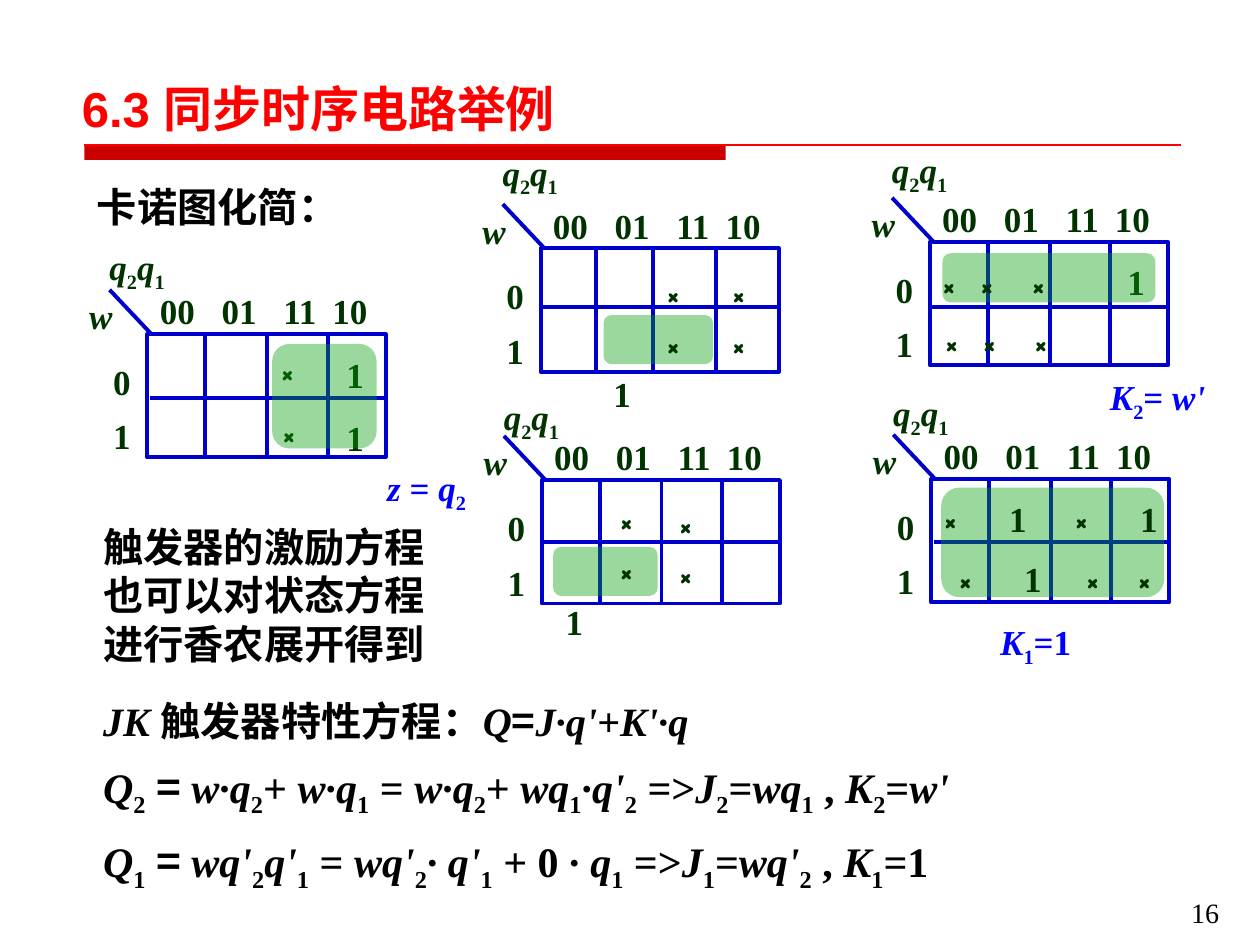
import itertools

import pptx
import pptx.util
from lxml import etree
from pptx.dml.color import RGBColor
from pptx.enum.shapes import MSO_CONNECTOR, MSO_SHAPE
from pptx.enum.text import MSO_ANCHOR, PP_ALIGN
from pptx.oxml.ns import qn
from pptx.util import Inches

COLORS = {"grid": "0000CC", "label": "003300", "result": "0000FF", "cover": "069E0A",
          "bar": "CC0000", "title": "FF0000", "ink": "000000"}
SERIF, CROSS, CJK = "Times New Roman", "Comic Neue", "Noto Sans CJK SC"


def write(left, top, width, height, text, size=20, color="label", font=SERIF, spacing=None,
          tabs=(), wrap=True, anchor=MSO_ANCHOR.TOP, align=None, bold=True):
    """Add a text box; "_" makes the next character a subscript, serif letters are italic."""
    frame = slide.shapes.add_textbox(Inches(left), Inches(top), Inches(width),
                                     Inches(height)).text_frame
    frame.word_wrap = wrap
    frame.vertical_anchor = anchor
    for number, line in enumerate(text.split("\n")):
        paragraph = frame.paragraphs[0] if number == 0 else frame.add_paragraph()
        paragraph.alignment = align
        if spacing:
            paragraph.line_spacing = spacing
        if tabs:
            stops = etree.SubElement(paragraph._p.get_or_add_pPr(), qn("a:tabLst"))
            for stop in tabs:
                etree.SubElement(stops, qn("a:tab"), pos=str(Inches(stop)), algn="l")
        styled = []
        for before, char in zip(" " + line, line):
            if char == "_":
                continue
            if before == "_":
                style = "subscript"
            elif char in "=×":
                style = char
            else:
                style = "italic" if char.isascii() and (char.isalpha() or char == "'") else "plain"
            styled.append((style, char))
        for style, chars in itertools.groupby(styled, key=lambda pair: pair[0]):
            run = paragraph.add_run()
            run.text = "".join(char for _, char in chars)
            run.font.size = pptx.util.Pt(size)
            run.font.bold = bold
            run.font.italic = style == "italic"
            run.font.name = CROSS if style == "×" else font
            run.font.color.rgb = RGBColor.from_string(COLORS[color])
            properties = run._r.get_or_add_rPr()
            etree.SubElement(properties, qn("a:ea"), typeface=CJK)
            if style == "subscript":
                properties.set("baseline", "-25000")
    return frame


def rule(x1, y1, x2, y2, color="grid", width=2.25):
    """Draw a straight line without shadow."""
    line = slide.shapes.add_connector(MSO_CONNECTOR.STRAIGHT, Inches(x1), Inches(y1),
                                      Inches(x2), Inches(y2))
    line.line.color.rgb = RGBColor.from_string(COLORS[color])
    line.line.width = pptx.util.Pt(width)
    etree.SubElement(line._element.spPr, qn("a:effectLst"))


presentation = pptx.Presentation()
presentation.slide_width, presentation.slide_height = Inches(10), Inches(7.5)
slide = presentation.slides.add_slide(presentation.slide_layouts[5])

# Title with its underline
title = slide.shapes.title
title.left, title.top, title.width, title.height = [Inches(v) for v in (0.55, 0.46, 7.38, 0.79)]
title.text_frame.text = "6.3 同步时序电路举例"
title.text_frame.vertical_anchor = MSO_ANCHOR.MIDDLE
heading = title.text_frame.paragraphs[0]
heading.alignment = PP_ALIGN.LEFT
heading.font.size = pptx.util.Pt(28)
heading.font.bold = True
heading.font.name = "Arial"
heading.font.color.rgb = RGBColor.from_string(COLORS["title"])

bar = slide.shapes.add_shape(MSO_SHAPE.RECTANGLE, Inches(0.67), Inches(1.15), Inches(5.09),
                             Inches(0.12))
bar.shadow.inherit = False
bar.fill.solid()
bar.fill.fore_color.rgb = RGBColor.from_string(COLORS["bar"])
bar.line.fill.background()
rule(0.67, 1.15, 9.37, 1.15, "title", 0.75)

# Karnaugh maps: marks are (left, top, text, tab stops), drawn under or over the cover
COLUMNS = (0.46, 0.95, 1.43)
TRIPLE = (0.3, 0.71)
maps = [
    dict(at=(4.29, 1.97), columns=(0.44, 0.89, 1.39), middle=0.47, variables=0.82,
         cover=(4.79, 2.5, 0.87, 0.39),
         under=[(4.77, 2.84, "1", ()), (5.71, 2.04, "×\n×", ())],
         over=[(5.19, 2.04, "×\n×", ())]),
    dict(at=(7.38, 1.92), columns=COLUMNS, middle=0.52, variables=0.79,
         cover=(7.48, 2.01, 1.69, 0.39), under=[(8.85, 1.95, "1", ())],
         over=[(7.38, 1.97, "×\t×\t×", TRIPLE), (7.4, 2.43, "×\t×\t×", TRIPLE)],
         result=(7.1, 2.9, 1.76, "K_2= w'", PP_ALIGN.RIGHT)),
    dict(at=(4.3, 3.81), columns=COLUMNS, middle=0.49, variables=0.72,
         cover=(4.39, 4.34, 0.83, 0.39),
         under=[(4.39, 4.65, "1", ()), (5.29, 3.87, "×\n×", ())],
         over=[(4.82, 3.84, "×\n×", ())]),
    dict(at=(7.39, 3.8), columns=COLUMNS, middle=0.5, variables=0.74,
         cover=(7.47, 3.87, 1.77, 0.87), under=[],
         over=[(7.39, 3.83, "×\t1\t×\t1", (0.52, 1.04, 1.56)),
               (7.51, 4.31, "×\t1\t×\t×", (0.52, 1.01, 1.42))],
         result=(6.84, 4.84, 2.03, "K_1=1", PP_ALIGN.CENTER)),
    dict(at=(1.17, 2.65), columns=COLUMNS, middle=0.51, variables=0.75,
         cover=(2.16, 2.73, 0.83, 0.83),
         under=[(2.65, 2.69, "1", ()), (2.65, 3.19, "1", ()),
                (2.13, 2.66, "×", ()), (2.14, 3.15, "×", ())],
         over=[], result=(0.56, 3.62, 2.03, "z = q_2", PP_ALIGN.RIGHT)),
]
MAP_WIDTH, MAP_HEIGHT = 1.89, 0.98

for kmap in maps:
    x, y = kmap["at"]
    border = slide.shapes.add_shape(MSO_SHAPE.RECTANGLE, Inches(x), Inches(y),
                                    Inches(MAP_WIDTH), Inches(MAP_HEIGHT))
    border.shadow.inherit = False
    border.fill.background()
    border.line.color.rgb = RGBColor.from_string(COLORS["grid"])
    border.line.width = pptx.util.Pt(2.25)
    rule(x + 0.03, y, x - 0.3, y - 0.35)
    rule(x + 0.02, y + kmap["middle"], x + MAP_WIDTH, y + kmap["middle"])
    for column in kmap["columns"]:
        rule(x + column, y, x + column, y + MAP_HEIGHT)

    write(x, y - 0.4, 1.87, 0.44, "00\t01\t11\t10", tabs=(0.49, 0.98, 1.37), wrap=False)
    write(x - 0.37, y + 0.06, 0.32, 0.93, "0\n1", spacing=1.3)
    write(x - 0.4, y - kmap["variables"], 0.67, 0.66, "q_2q_1", wrap=False)
    write(x - 0.56, y - 0.36, 0.39, 0.44, "w", wrap=False)

    for layer in ("under", "over"):
        for left, top, text, tabs in kmap[layer]:
            write(left, top, 1.97 if tabs else 0.44, 0.87 if "\n" in text else 0.46, text,
                  spacing=1.2, tabs=tabs)
        if layer == "under":
            cover = slide.shapes.add_shape(MSO_SHAPE.ROUNDED_RECTANGLE,
                                           *[Inches(v) for v in kmap["cover"]])
            cover.shadow.inherit = False
            cover.fill.solid()
            cover.fill.fore_color.rgb = RGBColor.from_string(COLORS["cover"])
            cover.line.fill.background()
            tint = cover._element.spPr.find(".//" + qn("a:srgbClr"))
            etree.SubElement(tint, qn("a:alpha"), val="40000")

    if "result" in kmap:
        left, top, width, text, align = kmap["result"]
        result = write(left, top, width, 0.47, text, color="result", spacing=1.2, wrap=False,
                       anchor=MSO_ANCHOR.MIDDLE, align=align)
        result.paragraphs[0]._p.get_or_add_pPr().set("indent", str(Inches(0.73)))

# Explanations and equations
write(0.67, 1.39, 2.39, 0.49, "卡诺图化简：", 23, "ink", CJK, anchor=MSO_ANCHOR.MIDDLE)
write(0.72, 4.09, 2.93, 1.26, "触发器的激励方程也可以对状态方程进行香农展开得到", 23, "ink", CJK,
      anchor=MSO_ANCHOR.MIDDLE)
equations = write(0.72, 5.36, 7.26, 1.65,
                  "JK 触发器特性方程：Q=J∙q'+K'∙q\n"
                  "Q_2 = w∙q_2+ w∙q_1 = w∙q_2+ wq_1∙q'_2 =>J_2=wq_1 , K_2=w'\n"
                  "Q_1 = wq'_2q'_1 = wq'_2∙ q'_1 + 0 ∙ q_1 =>J_1=wq'_2 , K_1=1",
                  24, "ink", spacing=1.3)
for run in equations.paragraphs[0].runs:
    run.font.size = pptx.util.Pt(23)
for equation in equations.paragraphs:
    first_equals = next(run for run in equation.runs if run.text == "=")
    first_equals.font.name = CJK

write(9.17, 7.06, 0.79, 0.39, "16", 16, "ink", align=PP_ALIGN.CENTER, bold=False)

presentation.save("out.pptx")
